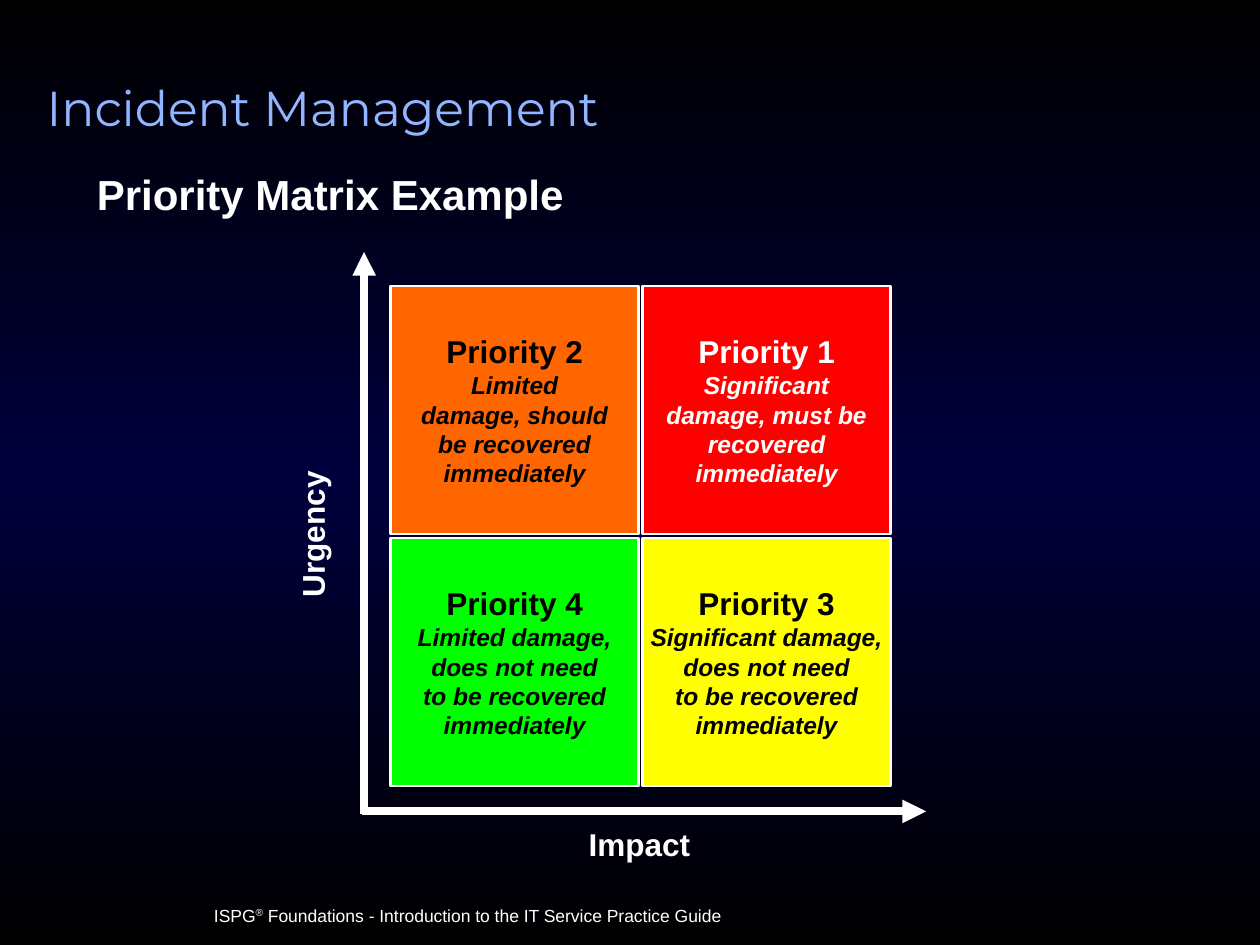
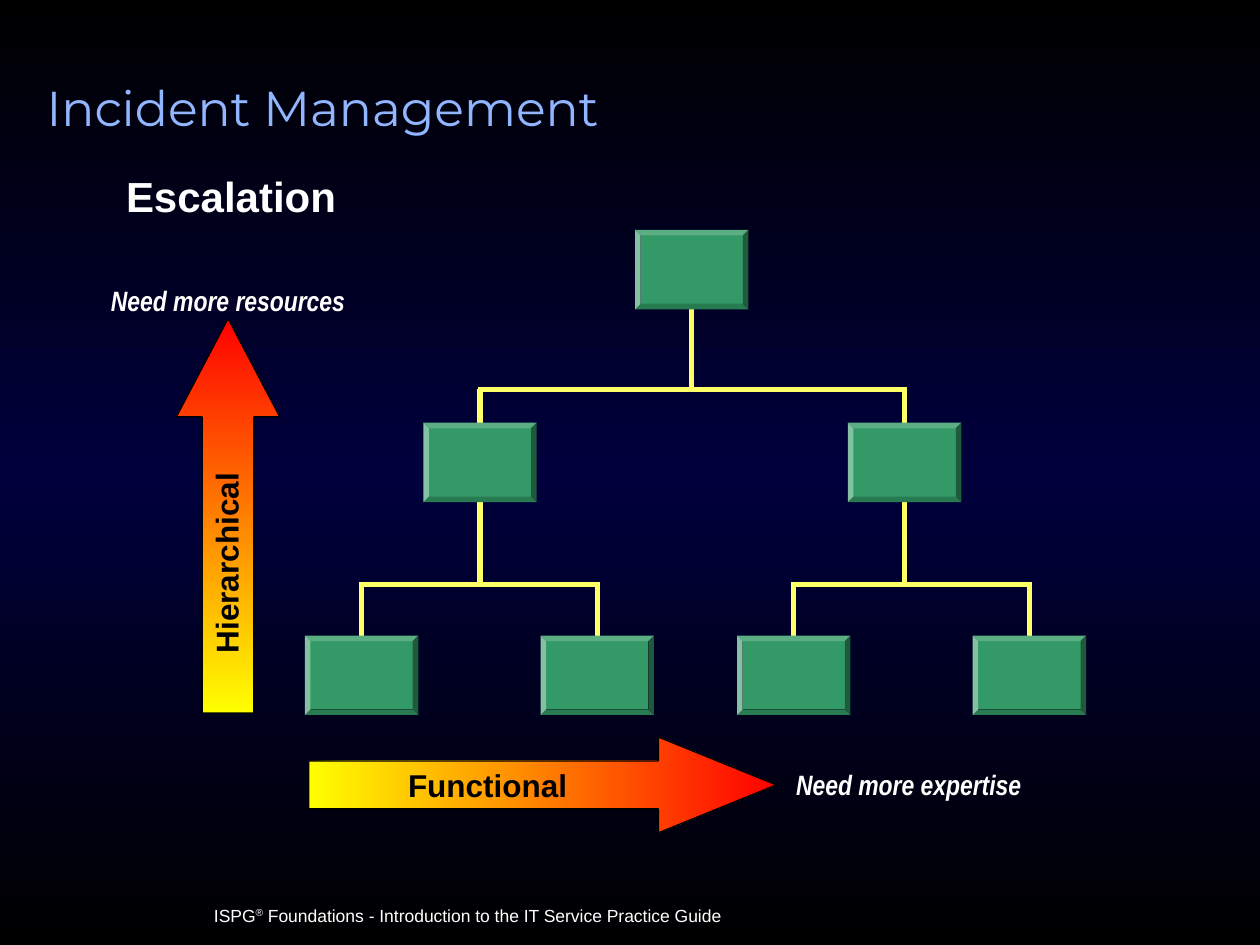
from dataclasses import dataclass

from lxml import etree
from pptx import Presentation
from pptx import util as u
from pptx.dml.color import RGBColor
from pptx.enum import shapes, text
from pptx.oxml.ns import qn

IN = u.Inches
KIND = shapes.MSO_SHAPE
LEFT, MID = text.PP_ALIGN.LEFT, text.PP_ALIGN.CENTER


@dataclass(frozen=True)
class Theme:
    """Colours, fonts and type sizes of the deck."""
    black: str = "000000"
    navy: str = "00003C"
    white: str = "FFFFFF"
    sky: str = "91B6FF"
    red: str = "FF0000"
    orange: str = "FF6600"
    yellow: str = "FFFF00"
    lime: str = "00FF00"
    green: str = "339966"
    cream: str = "FFFF66"
    face: str = "Arial"
    slim: str = "Arial Narrow"
    head: str = "Montserrat"
    title: int = 28
    topic: int = 24
    label: int = 18
    note: int = 16
    body: int = 14
    foot: int = 10


T = Theme()


def style(para, size, color, face=T.face, bold=True, slant=False, align=LEFT):
    """Format a whole paragraph."""
    font = para.font
    font.size, font.name, font.bold, font.italic = u.Pt(size), face, bold, slant
    font.color.rgb = RGBColor.from_string(color)
    para.alignment = align


def blend(fill, root, colors, angle):
    """Fill with evenly spaced colour stops."""
    fill.gradient()
    fill.gradient_angle = angle
    stops = root.find(".//" + qn("a:gsLst"))
    for old in list(stops):
        stops.remove(old)
    for i, color in enumerate(colors):
        pos = 100000 * i // (len(colors) - 1)
        stop = etree.SubElement(stops, qn("a:gs"), pos=str(pos))
        etree.SubElement(stop, qn("a:srgbClr"), val=color)


def label(slide, words, box, size, color, turn=0, **look):
    """Add a one-paragraph text box."""
    item = slide.shapes.add_textbox(*map(IN, box))
    item.rotation = turn
    item.text_frame.word_wrap = True
    para = item.text_frame.paragraphs[0]
    para.text = words
    style(para, size, color, **look)
    return item


def shape(slide, kind, box, fill=None, edge=None, width=0.75):
    """Add a flat preset shape."""
    item = slide.shapes.add_shape(kind, *map(IN, box))
    item.shadow.inherit = False
    if fill:
        item.fill.solid()
        item.fill.fore_color.rgb = RGBColor.from_string(fill)
    if edge:
        item.line.color.rgb = RGBColor.from_string(edge)
        item.line.width = u.Pt(width)
    else:
        item.line.fill.background()
    return item


def line(slide, ends, color, width, arrow=False):
    """Add a straight line, with an arrowhead if asked."""
    item = slide.shapes.add_connector(shapes.MSO_CONNECTOR.STRAIGHT, *map(IN, ends))
    item.line.color.rgb = RGBColor.from_string(color)
    item.line.width = u.Pt(width)
    props = item._element.spPr
    if arrow:
        etree.SubElement(props.find(qn("a:ln")), qn("a:tailEnd"), type="triangle")
    etree.SubElement(props, qn("a:effectLst"))


def footer(slide):
    """Add the course line at the foot."""
    item = label(slide, "", (1.6, 7.13, 5.9, 0.27), T.foot, T.white, bold=False)
    para = item.text_frame.paragraphs[0]
    for words, lift in (
        ("ISPG", 0),
        ("®", 30000),
        (" Foundations - Introduction to the IT Service Practice Guide", 0),
    ):
        run = para.add_run()
        run.text = words
        if lift:
            run._r.get_or_add_rPr().set("baseline", str(lift))


def page(deck, topic, left, top, inset=0.1):
    """Add a slide with its title, topic and footer."""
    slide = deck.slides.add_slide(deck.slide_layouts[5])
    footer(slide)
    title = slide.shapes.title
    title.left, title.top, title.width, title.height = map(IN, (0.27, 0.62, 8.92, 1.34))
    frame = title.text_frame
    frame.text = "Incident Management"
    frame.vertical_anchor = text.MSO_ANCHOR.TOP
    frame.auto_size = text.MSO_AUTO_SIZE.NONE
    style(frame.paragraphs[0], T.title, T.sky, T.head, bold=False)
    frame.paragraphs[0].line_spacing = 0.9
    head = label(slide, topic, (left, top, 6.38, 0.62), T.topic, T.white)
    head.text_frame.margin_left = IN(inset)
    head.text_frame.paragraphs[0].line_spacing = 0.9
    return slide


def cell(slide, col, row, fill, color, rank, *lines):
    """Add one square of the priority matrix."""
    side, step = 1.97, 2
    box = (3.1 + col * step, 2.27 + row * step, side, side)
    frame = shape(slide, KIND.RECTANGLE, box, fill, T.white, 1.5).text_frame
    frame.word_wrap = False
    frame.vertical_anchor = text.MSO_ANCHOR.MIDDLE
    frame.text = "\n".join((f"Priority {rank}",) + lines)
    for i, para in enumerate(frame.paragraphs):
        size = T.body if i else T.label
        style(para, size, color, slant=i > 0, align=MID)


def matrix(deck):
    """Build the priority matrix slide."""
    slide = page(deck, "Priority Matrix Example", 0.67, 1.33)
    rest = ("does not need", "to be recovered", "immediately")
    cell(slide, 0, 1, T.lime, T.black, 4, "Limited damage,", *rest)
    cell(slide, 1, 1, T.yellow, T.black, 3, "Significant damage,", *rest)
    cell(slide, 1, 0, T.red, T.white, 1,
         "Significant", "damage, must be", "recovered", "immediately")
    cell(slide, 0, 0, T.orange, T.black, 2,
         "Limited", "damage, should", "be recovered", "immediately")
    line(slide, (2.87, 6.44, 7.35, 6.44), T.white, 4.5, arrow=True)
    label(slide, "Impact", (4.16, 6.5, 1.83, 0.4), T.label, T.white, align=MID)
    label(slide, "Urgency", (1.49, 4.04, 1.98, 0.4), T.label, T.white, 270, align=MID)
    line(slide, (2.89, 6.46, 2.89, 2), T.white, 4.5, arrow=True)


def branch(slide, boss, staff, bar):
    """Draw the lines from one node to its two children."""
    left, right = staff[0][0], staff[1][0]
    line(slide, (left - 0.02, bar, right + 0.02, bar), T.cream, 3)
    for x, y in (boss, *staff):
        line(slide, (x, y, x, bar), T.cream, 3)


def tree(slide):
    """Draw the staff tree, lines below boxes."""
    wide, high = 0.9, 0.63
    top = (5.49, 2.14)
    leads = [(3.81, 3.67), (7.18, 3.67)]
    teams = [[(2.87, 5.36), (4.74, 5.36)], [(6.3, 5.36), (8.17, 5.36)]]
    branch(slide, top, leads, 3.09)
    for lead, team in zip(leads, teams):
        branch(slide, lead, team, 4.64)
    for x, y in (top, *leads, *teams[0], *teams[1]):
        box = (x - wide / 2, y - high / 2, wide, high)
        shape(slide, KIND.BEVEL, box, T.green).adjustments[0] = 0.07


def arrow(slide, kind, box, tip, colors, angle):
    """Add a block arrow with a colour blend."""
    item = shape(slide, kind, box, edge=T.black)
    item.adjustments[1] = tip
    blend(item.fill, item._element, colors, angle)


def escalate(deck):
    """Build the escalation slide."""
    slide = page(deck, "Escalation", 0.81, 1.35, inset=0.19)
    tree(slide)
    arrow(slide, KIND.UP_ARROW, (1.4, 2.53, 0.82, 3.13), 0.95, (T.red, T.yellow), 270)
    label(slide, "Hierarchical", (0.75, 4.27, 2.09, 0.4), T.label, T.black, 270, align=MID)
    arrow(slide, KIND.RIGHT_ARROW, (2.45, 5.85, 3.71, 0.76), 1.23, (T.yellow, T.red), 0)
    label(slide, "Functional", (3.14, 6.03, 1.84, 0.4), T.label, T.black)
    note = dict(size=T.note, color=T.white, face=T.slim, slant=True)
    label(slide, "Need more expertise", (6.22, 6.04, 2.66, 0.37), **note)
    label(slide, "Need more resources", (0.63, 2.2, 2.36, 0.37), align=MID, **note)


def main():
    """Build and save the deck."""
    deck = Presentation()
    deck.slide_width, deck.slide_height = IN(10), IN(7.5)
    master = deck.slide_master
    blend(master.background.fill, master.element, (T.black, T.navy, T.black), 270)
    matrix(deck)
    escalate(deck)
    deck.save("out.pptx")


if __name__ == "__main__":
    main()
